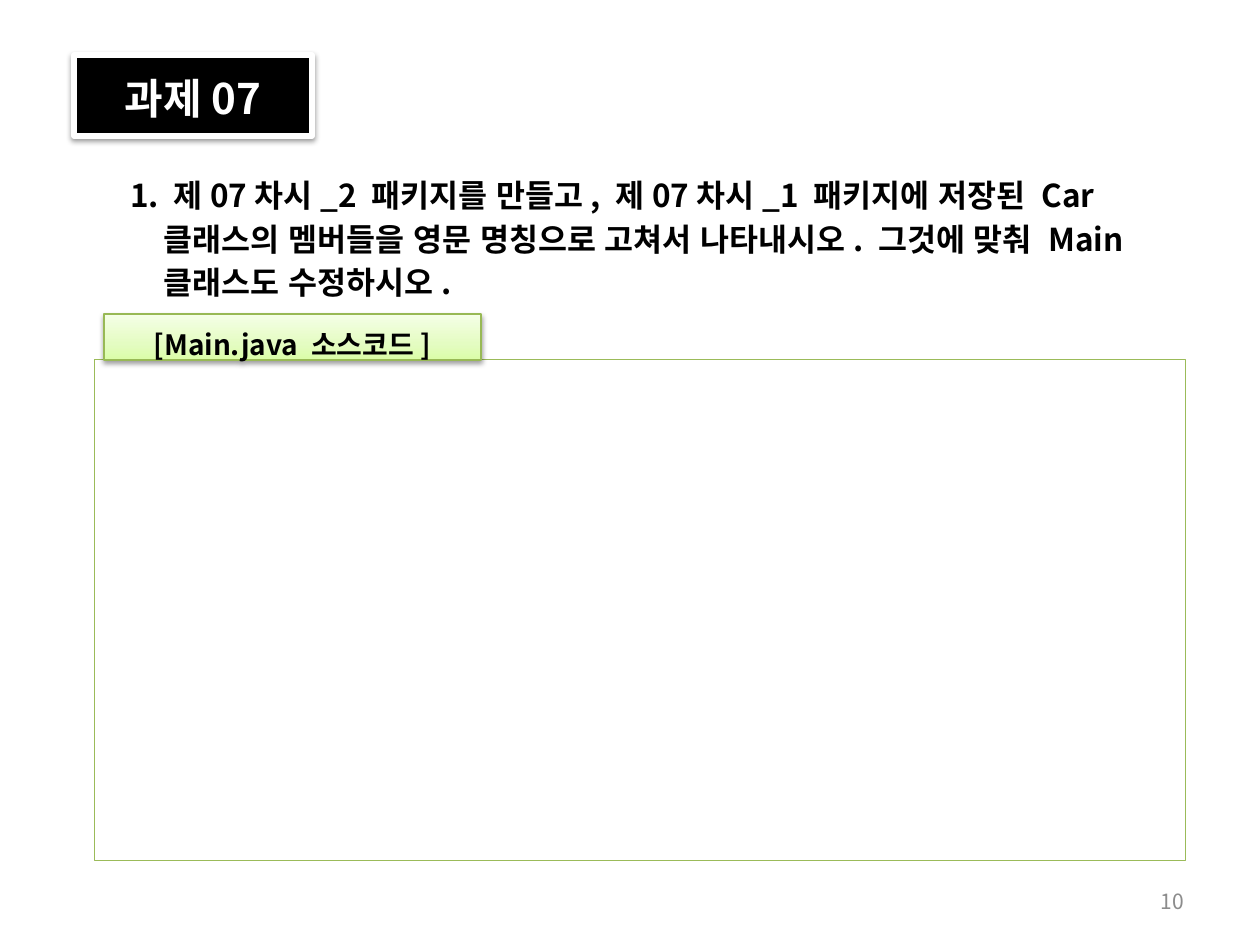
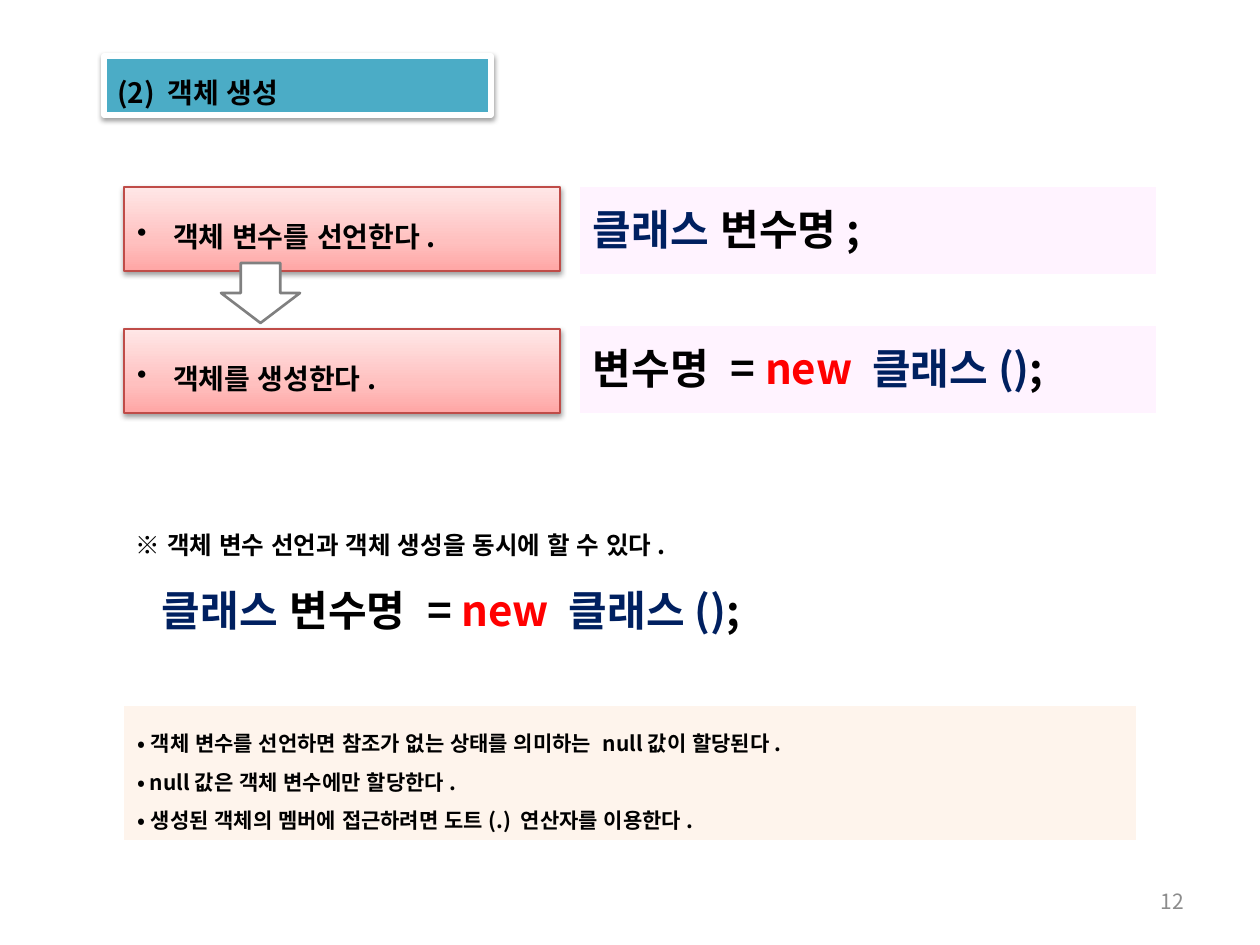
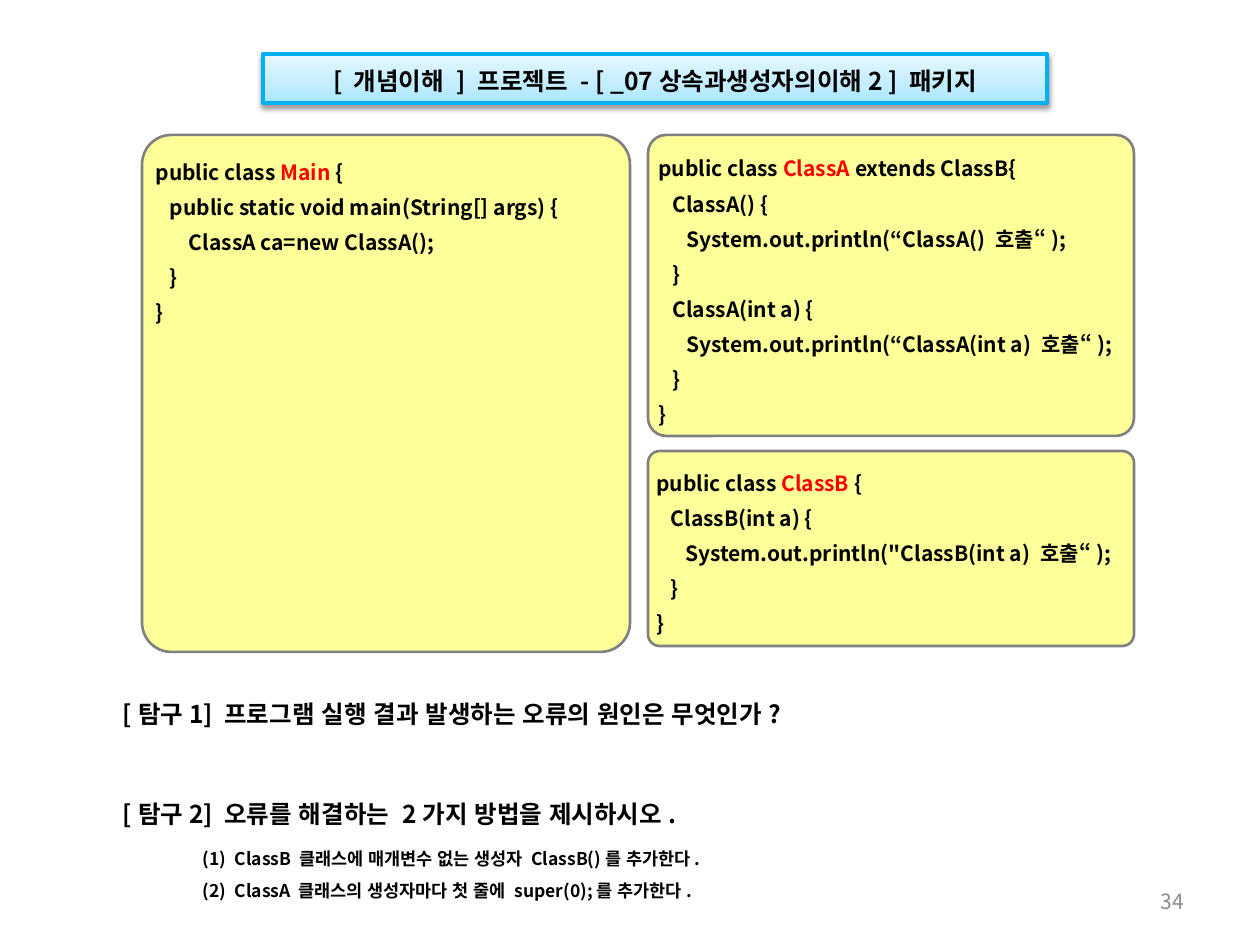
import pptx
import pptx.dml.color
import pptx.enum.shapes
import pptx.enum.text
import pptx.oxml
import pptx.oxml.ns
import pptx.util
import lxml.etree

FONT = "Noto Sans CJK KR"
BLACK, WHITE, GRAY = "000000", "FFFFFF", "808080"
RED, NAVY, PAGE_GRAY = "FF0000", "002060", "8C8C8C"
TEAL, LILAC, CREAM, YELLOW = "4BACC6", "FFF3FF", "FEF4EC", "FFFF99"

# Gradients run from the bottom up: stops at 0, 35 and 100 percent
GREEN_FADE = ("DAFDA7", "E4FCC2", "F5FFE7")
PINK_FADE = ("FFA6A5", "FFC0BF", "FFE7E7")
BLUE_FADE = ("A7E6FF", "C1EDFF", "E7F8FF")
FADE_STOPS = (0, 35, 100)

LABEL_INSETS = (13, 10, 13, 6)
CODE_INSETS = (5, 6, 0, 6)
PAGE_BOX = (0, 0, 1260, 945)

KIND = pptx.enum.shapes.MSO_SHAPE
ALIGN = pptx.enum.text.PP_ALIGN
ANCHOR = pptx.enum.text.MSO_ANCHOR


def px(length):
    return pptx.util.Emu(round(length * 914400 / 126))


def color(value):
    return pptx.dml.color.RGBColor.from_string(value)


def inside(box, left, top, width, height):
    """Box at an offset from the corner of another box."""
    return box[0] + left, box[1] + top, width, height


def add_xml(parent, tag, **attributes):
    child = lxml.etree.SubElement(parent, pptx.oxml.ns.qn(tag))
    for name, value in attributes.items():
        child.set(name, str(value))
    return child


def paint(shape, fill, line, line_width, shadow):
    # Fill: none, one colour or a three-stop gradient
    if fill is None:
        shape.fill.background()
    elif isinstance(fill, str):
        shape.fill.solid()
        shape.fill.fore_color.rgb = color(fill)
    else:
        shape.fill.gradient()
        shape.fill.gradient_angle = 90
        stops = shape.element.spPr.find(".//" + pptx.oxml.ns.qn("a:gsLst"))
        for stop in list(stops):
            stops.remove(stop)
        for position, shade in zip(FADE_STOPS, fill):
            stop = add_xml(stops, "a:gs", pos=position * 1000)
            add_xml(stop, "a:srgbClr", val=shade)
    # Outline
    if line is None:
        shape.line.fill.background()
    else:
        shape.line.color.rgb = color(line)
        shape.line.width = pptx.util.Pt(line_width)
    # Shadow
    shape.shadow.inherit = False
    if shadow:
        effects = shape.element.spPr.find(pptx.oxml.ns.qn("a:effectLst"))
        outer = add_xml(effects, "a:outerShdw", blurRad=39370, dist=20320,
                        dir=5400000, rotWithShape=0)
        shade = add_xml(outer, "a:srgbClr", val=BLACK)
        add_xml(shade, "a:alpha", val=38000)


def write(shape, paras, size, ink=BLACK, bold=True, spacing=None,
          align=ALIGN.LEFT, hang=0, numbered=False, bullet=None,
          anchor=ANCHOR.MIDDLE, insets=LABEL_INSETS):
    """Each para is a string or a list of (text, colour) spans."""
    frame = shape.text_frame
    frame.word_wrap = True
    frame.vertical_anchor = anchor
    (frame.margin_left, frame.margin_top,
     frame.margin_right, frame.margin_bottom) = map(px, insets)
    for index, spans in enumerate(paras):
        para = frame.paragraphs[0] if index == 0 else frame.add_paragraph()
        properties = para._p.get_or_add_pPr()
        if numbered:
            add_xml(properties, "a:buAutoNum", type="arabicParenBoth")
        if bullet:
            add_xml(properties, "a:buChar", char=bullet)
        if hang:
            properties.set("marL", str(px(hang)))
            properties.set("indent", str(-px(hang)))
        para.alignment = align
        if spacing:
            para.line_spacing = spacing
        if isinstance(spans, str):
            spans = [(spans, ink)]
        for text, shade in spans:
            span = para.add_run()
            span.text = text
            span.font.name = FONT
            span.font.size = pptx.util.Pt(size)
            span.font.bold = bold
            span.font.color.rgb = color(shade)
            # Korean glyph forms keep quotes and bullets narrow
            span_properties = span._r.get_or_add_rPr()
            span_properties.set("lang", "ko-KR")
            add_xml(span_properties, "a:ea", typeface=FONT)


def add_block(page, box, paras=(), kind=KIND.FLOWCHART_PROCESS, fill=None,
              line=None, line_width=0.75, shadow=False, **style):
    shape = page.shapes.add_shape(kind, *map(px, box))
    paint(shape, fill, line, line_width, shadow)
    if paras:
        write(shape, paras, **style)
    return shape


def add_page(deck, number):
    page = deck.slides.add_slide(deck.slide_layouts[6])
    footer = page.shapes.add_textbox(*map(px, (903, 876, 294, 50)))
    write(footer, [number], size=12, ink=PAGE_GRAY, bold=False,
          align=ALIGN.RIGHT, insets=(13, 6, 13, 6))
    return page


def add_exercise(page, box):
    # Number badge
    add_block(page, inside(box, 74, 55, 238, 81), ["과제07"], fill=BLACK,
              line=WHITE, line_width=3, shadow=True, size=24, ink=WHITE,
              align=ALIGN.CENTER)
    # Task
    add_block(page, inside(box, 117, 166, 1076, 135),
              ["1. 제07차시_2 패키지를 만들고, 제07차시_1 패키지에 저장된 Car "
               "클래스의 멤버들을 영문 명칭으로 고쳐서 나타내시오. 그것에 맞춰 "
               "Main 클래스도 수정하시오."],
              size=18, spacing=pptx.util.Pt(25), hang=34)
    # Answer frame and its tab
    add_block(page, inside(box, 94, 359, 1091, 501), fill=WHITE,
              line="9BBB59", line_width=0.25)
    add_block(page, inside(box, 104, 314, 377, 46), ["[Main.java 소스코드]"],
              fill=GREEN_FADE, line="98B955", shadow=True, size=16,
              spacing=pptx.util.Pt(25), align=ALIGN.CENTER)


def add_object_creation(page, box):
    spacing = pptx.util.Pt(25)
    declare = [("클래스 ", NAVY), ("변수명;", BLACK)]
    create = [("변수명 = ", BLACK), ("new ", RED), ("클래스()", NAVY),
              (";", BLACK)]
    # Steps with their syntax
    steps = (("객체 변수를 선언한다.", declare, 187, 187),
             ("객체를 생성한다.", create, 329, 326))
    for label, syntax, label_top, syntax_top in steps:
        add_block(page, inside(box, 124, label_top, 436, 84), [label],
                  fill=PINK_FADE, line="BF4C48", shadow=True, size=16,
                  spacing=spacing, hang=36, bullet="•")
        add_block(page, inside(box, 580, syntax_top, 576, 87), [syntax],
                  fill=LILAC, size=24, spacing=spacing)
    add_block(page, inside(box, 221, 263, 79, 60), kind=KIND.DOWN_ARROW,
              fill=WHITE, line=GRAY, line_width=1.5)
    # Both steps in one statement
    add_block(page, inside(box, 123, 504, 983, 62),
              ["※ 객체 변수 선언과 객체 생성을 동시에 할 수 있다."],
              size=14, spacing=1.5, hang=28)
    add_block(page, inside(box, 149, 553, 957, 84),
              [declare[:1] + create], size=24, spacing=1.5)
    # Section title
    add_block(page, inside(box, 104, 56, 387, 59), ["(2) 객체 생성"],
              fill=TEAL, line=WHITE, line_width=3, shadow=True, size=16,
              spacing=spacing)
    # Notes
    add_block(page, inside(box, 124, 706, 1012, 134),
              ["• 객체 변수를 선언하면 참조가 없는 상태를 의미하는 null값이 할당된다.",
               "• null값은 객체 변수에만 할당한다.",
               "• 생성된 객체의 멤버에 접근하려면 도트(.) 연산자를 이용한다."],
              fill=CREAM, size=12, spacing=pptx.util.Pt(22))


def add_code_panel(page, box, name, rest, lines):
    heading = [("public class ", BLACK), (name, RED), (rest, BLACK)]
    panel = add_block(page, box, [heading, *lines, "}"],
                      kind=KIND.ROUNDED_RECTANGLE, fill=YELLOW, line=GRAY,
                      line_width=1.5, size=12, spacing=pptx.util.Pt(20),
                      anchor=ANCHOR.TOP, insets=CODE_INSETS)
    panel.adjustments[0] = 0.06


def add_inquiry(page, box):
    # Code of the three classes; the right column fits its longest line
    add_code_panel(page, inside(box, 142, 135, 488, 517), "Main", " {",
                   ["   public static void main(String[] args) {",
                    "       ClassA ca=new ClassA();",
                    "   }"])
    add_code_panel(page, inside(box, 648, 135, 486, 301), "ClassA",
                   " extends ClassB{",
                   ["   ClassA() {",
                    "      System.out.println(“ClassA() 호출“);",
                    "   }",
                    "   ClassA(int a) {",
                    "      System.out.println(“ClassA(int a) 호출“);",
                    "   }"])
    add_code_panel(page, inside(box, 648, 451, 486, 195), "ClassB", " {",
                   ["   ClassB(int a) {",
                    "      System.out.println(\"ClassB(int a) 호출“);",
                    "   }"])
    # Project title
    add_block(page, inside(box, 263, 54, 784, 49),
              ["[ 개념이해 ] 프로젝트 - [ _07상속과생성자의이해2 ] 패키지"],
              fill=BLUE_FADE, line="00B0F0", line_width=2.25, shadow=True,
              size=14, align=ALIGN.CENTER)
    # Questions
    questions = ("[탐구1] 프로그램 실행 결과 발생하는 오류의 원인은 무엇인가?",
                 "[탐구2] 오류를 해결하는 2가지 방법을 제시하시오.")
    for index, question in enumerate(questions):
        add_block(page, inside(box, 110, 680 + 100 * index, 1047, 49),
                  [question], size=14, spacing=1.5, hang=28)
    # Answers
    add_block(page, inside(box, 190, 833, 794, 69),
              ["ClassB 클래스에 매개변수 없는 생성자 ClassB()를 추가한다.",
               "ClassA 클래스의 생성자마다 첫 줄에 super(0);를 추가한다."],
              size=10, spacing=1.5, hang=32, numbered=True)


def main():
    deck = pptx.Presentation()
    deck.slide_width, deck.slide_height = map(px, PAGE_BOX[2:])
    for number, fill_page in (("10", add_exercise),
                              ("12", add_object_creation),
                              ("34", add_inquiry)):
        fill_page(add_page(deck, number), PAGE_BOX)
    deck.save("out.pptx")


if __name__ == "__main__":
    main()
